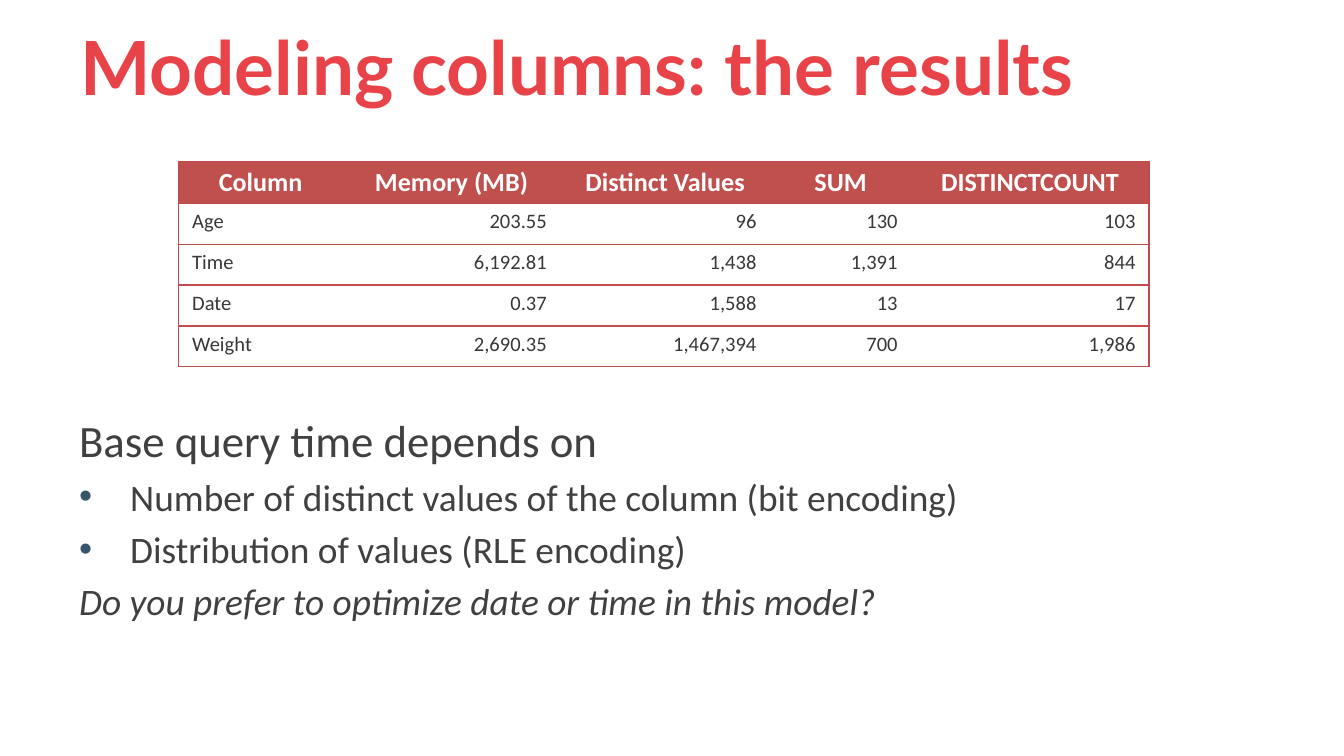
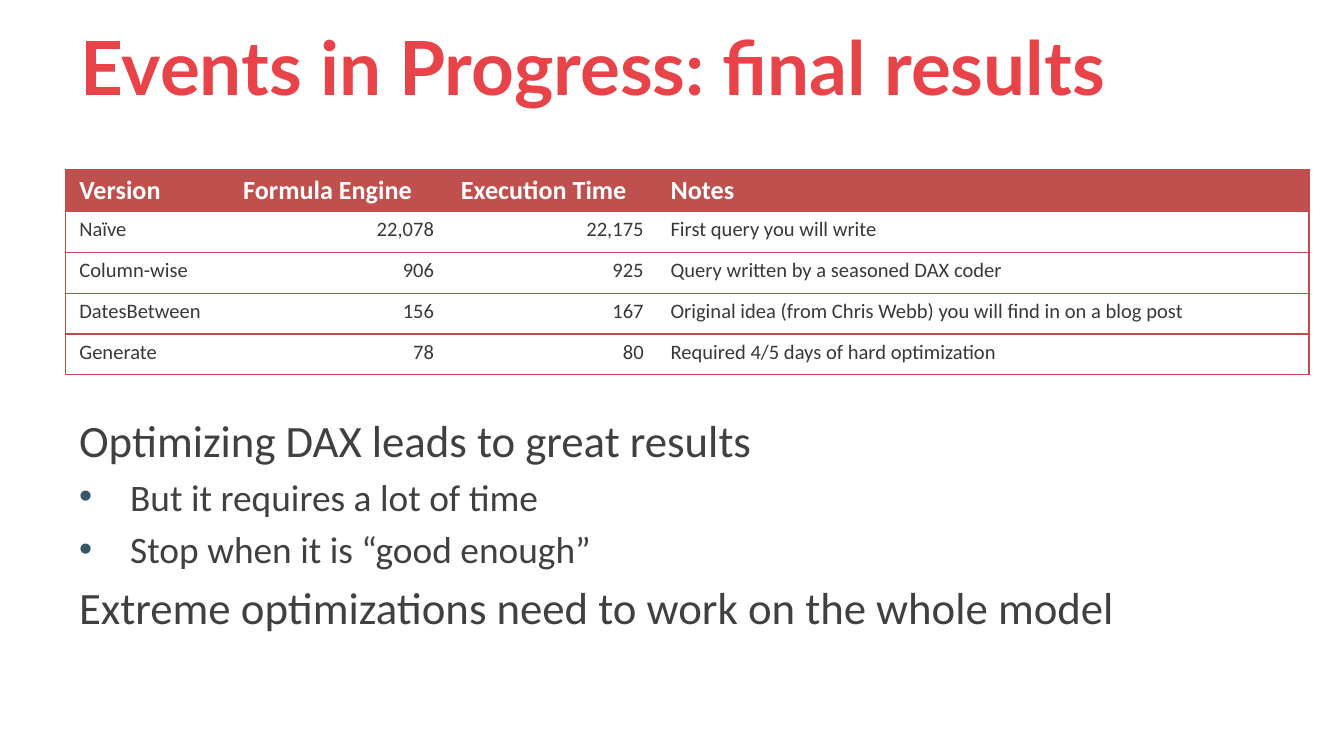
from lxml import etree
from pptx import Presentation
from pptx.dml.color import RGBColor
from pptx.enum import text
from pptx.oxml import ns
from pptx.util import Emu, Inches, Pt

COLORS = {
    "title": "E84348",
    "header": "C0504D",
    "rule": "BF4C48",
    "white": "FFFFFF",
    "cell": "383838",
    "body": "404040",
    "bullet": "375669",
}
TITLE_FONT, BODY_FONT = "Lato", "Calibri"
COLUMNS, ROWS = 100, 56.25  # grid cells of a tenth of an inch
NO_STYLE = "{2D5ABB26-0587-4C30-8999-92F81FD0307C}"
LEFT, RIGHT, CENTER = text.PP_ALIGN.LEFT, text.PP_ALIGN.RIGHT, text.PP_ALIGN.CENTER


def child(parent, tag, **attributes):
    return etree.SubElement(parent, ns.qn(tag), attributes)


def write(para, words, size=20, font=BODY_FONT, color="body", bold=False,
          italic=False, align=LEFT):
    """Add one formatted span to a paragraph."""
    para.alignment = align
    span = para.add_run()
    span.text = words
    span.font.size = Pt(size)
    span.font.name = font
    span.font.bold = bold
    span.font.italic = italic
    span.font.color.rgb = RGBColor.from_string(COLORS[color])


class Pages:
    def __init__(self):
        self.deck = Presentation()
        self.deck.slide_width = Inches(10)
        self.deck.slide_height = Inches(5.625)
        self.page = None

    def across(self, columns):
        return Emu(round(self.deck.slide_width * columns / COLUMNS))

    def down(self, rows):
        return Emu(round(self.deck.slide_height * rows / ROWS))

    def place(self, left, top, width, height):
        return (self.across(left), self.down(top),
                self.across(width), self.down(height))

    def text_box(self, *place):
        frame = self.page.shapes.add_textbox(*self.place(*place)).text_frame
        frame.word_wrap = True
        return frame

    def new_page(self, title):
        self.page = self.deck.slides.add_slide(self.deck.slide_layouts[6])
        frame = self.text_box(5, 0.1, 95, 9.5)
        frame.vertical_anchor = text.MSO_ANCHOR.MIDDLE
        write(frame.paragraphs[0], title, size=40, font=TITLE_FONT,
              color="title", bold=True)

    def rule(self, cell, side):
        line = child(cell._tc.get_or_add_tcPr(), f"a:ln{side}", w=str(Pt(0.75)))
        child(child(line, "a:solidFill"), "a:srgbClr", val=COLORS["rule"])

    def table(self, left, top, widths, records, header_align=LEFT):
        """Draw a ruled table; numbers go to the right."""
        frame = self.page.shapes.add_table(
            len(records), len(widths),
            *self.place(left, top, sum(widths), 15.2))
        table = frame.table
        table.horz_banding = False
        table._tbl.tblPr.find(ns.qn("a:tableStyleId")).text = NO_STYLE
        for column, width in zip(table.columns, widths):
            column.width = self.across(width)

        for row, record in enumerate(records):
            for column, words in enumerate(record):
                cell = table.cell(row, column)
                cell.margin_left = cell.margin_right = self.across(1)
                cell.margin_top = cell.margin_bottom = self.down(0.4)
                # Outer frame and a rule between rows
                if column == 0:
                    self.rule(cell, "L")
                if column == len(widths) - 1:
                    self.rule(cell, "R")
                self.rule(cell, "T")
                self.rule(cell, "B")

                para = cell.text_frame.paragraphs[0]
                if row == 0:
                    cell.vertical_anchor = text.MSO_ANCHOR.MIDDLE
                    cell.fill.solid()
                    cell.fill.fore_color.rgb = RGBColor.from_string(COLORS["header"])
                    write(para, words, size=14, color="white", bold=True,
                          align=header_align)
                else:
                    cell.fill.background()
                    number = words[0].isdigit()
                    write(para, words, size=11, color="cell",
                          align=RIGHT if number else LEFT)

    def bullet(self, para):
        indent = self.across(3.8)
        props = para._p.get_or_add_pPr()
        props.set("marL", str(indent))
        props.set("indent", str(-indent))
        child(child(props, "a:buClr"), "a:srgbClr", val=COLORS["bullet"])
        child(props, "a:buFont", typeface="Arial")
        child(props, "a:buChar", char="•")

    def body(self, *lines):
        """Each line is a kind ("lead", "bullet" or "aside") and its words."""
        frame = self.text_box(4.9, 30.2, 90.1, 20)
        for index, (kind, words) in enumerate(lines):
            para = frame.add_paragraph() if index else frame.paragraphs[0]
            size = 24 if kind == "lead" else 20
            para.space_before = Pt(size * 0.2)
            if kind == "bullet":
                para.level = 1
                self.bullet(para)
            write(para, words, size=size, italic=kind == "aside")


def main():
    pages = Pages()
    shared_widths = [12.2, 16.2, 15.6]

    # Column modeling
    pages.new_page("Modeling columns: the results")
    pages.table(13.3, 12, shared_widths + [10.5, 17.7], [
        ("Column", "Memory (MB)", "Distinct Values", "SUM", "DISTINCTCOUNT"),
        ("Age", "203.55", "96", "130", "103"),
        ("Time", "6,192.81", "1,438", "1,391", "844"),
        ("Date", "0.37", "1,588", "13", "17"),
        ("Weight", "2,690.35", "1,467,394", "700", "1,986"),
    ], header_align=CENTER)
    pages.body(
        ("lead", "Base query time depends on"),
        ("bullet", "Number of distinct values of the column (bit encoding)"),
        ("bullet", "Distribution of values (RLE encoding)"),
        ("aside", "Do you prefer to optimize date or time in this model?"),
    )

    # Events in progress
    pages.new_page("Events in Progress: final results")
    pages.table(4.9, 12.6, shared_widths + [48.5], [
        ("Version", "Formula Engine", "Execution Time", "Notes"),
        ("Naïve", "22,078", "22,175", "First query you will write"),
        ("Column-wise", "906", "925", "Query written by a seasoned DAX coder"),
        ("DatesBetween", "156", "167",
         "Original idea (from Chris Webb) you will find in on a blog post"),
        ("Generate", "78", "80", "Required 4/5 days of hard optimization"),
    ])
    pages.body(
        ("lead", "Optimizing DAX leads to great results"),
        ("bullet", "But it requires a lot of time"),
        ("bullet", "Stop when it is “good enough”"),
        ("lead", "Extreme optimizations need to work on the whole model"),
    )

    pages.deck.save("out.pptx")


if __name__ == "__main__":
    main()
